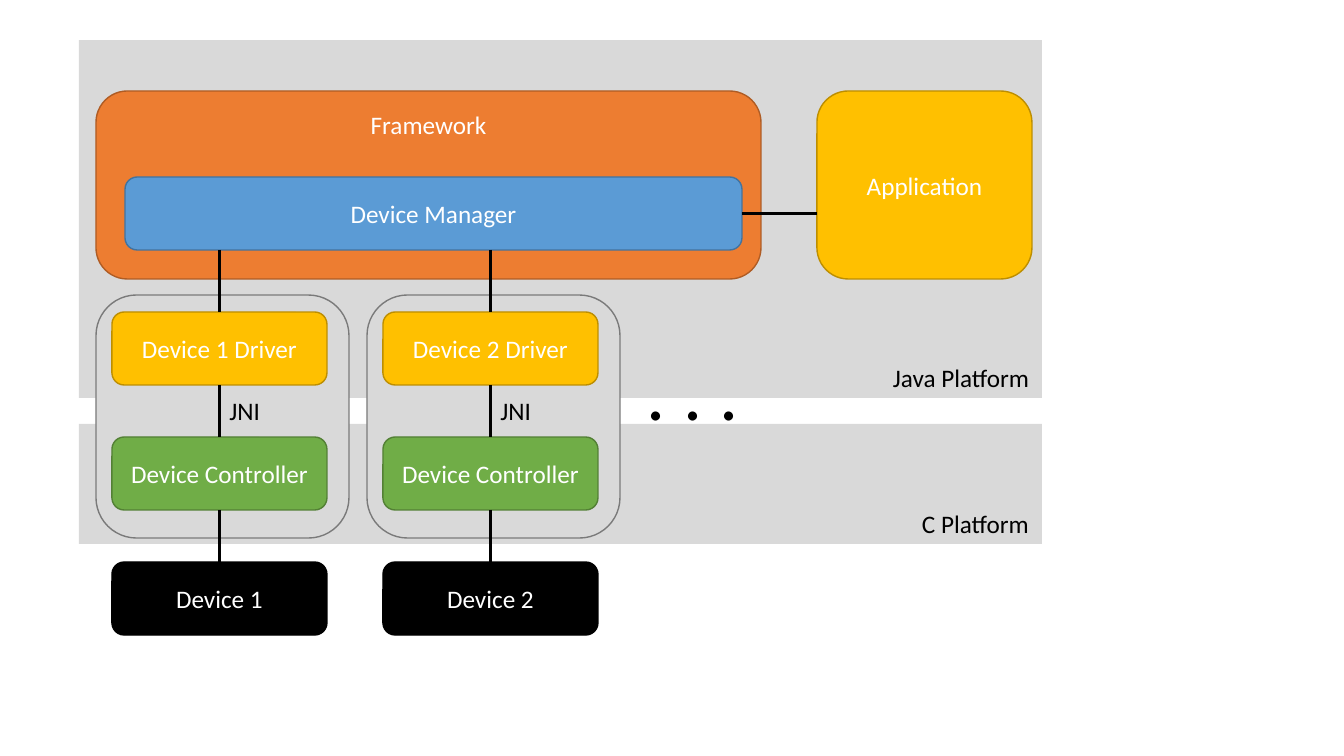
from pptx import Presentation
from pptx.dml.color import RGBColor
from pptx.enum.shapes import MSO_CONNECTOR, MSO_SHAPE
from pptx.enum.text import MSO_ANCHOR, MSO_AUTO_SIZE, PP_ALIGN
from pptx.oxml.ns import qn
from pptx.util import Pt
from lxml import etree

RECTANGLE = MSO_SHAPE.RECTANGLE
ROUNDED = MSO_SHAPE.ROUNDED_RECTANGLE
STRAIGHT = MSO_CONNECTOR.STRAIGHT
TOP = MSO_ANCHOR.TOP
MIDDLE = MSO_ANCHOR.MIDDLE
CENTER = PP_ALIGN.CENTER
FIT_SHAPE = MSO_AUTO_SIZE.SHAPE_TO_FIT_TEXT

EMU_PER_PIXEL = 914400 / 100.8
FONT = "Calibri"
WHITE = "FFFFFF"
BLACK = "000000"
GRAY = ("D9D9D9", "7A7A7A")
YELLOW = ("FFC000", "BD8E00")
GREEN = ("70AD47", "538035")
ORANGE = ("ED7D31", "AF5C24")
BLUE = ("5B9BD5", "43739E")
SOLID_BLACK = (BLACK, BLACK)

BOX_WIDTH = 215
BOX_HEIGHT = 73
GROUP_LEFT = 96
GROUP_PADDING = 16
COLUMN_PITCH = 271
ROW_TOP = 312
ROW_PITCH = 125
MANAGER_TOP = 177
MANAGER_BOTTOM = MANAGER_TOP + BOX_HEIGHT


def px(value):
    return round(value * EMU_PER_PIXEL)


def color(value):
    return RGBColor.from_string(value)


def write(frame, text, size, text_color):
    paragraph = frame.paragraphs[0]
    paragraph.text = text
    paragraph.font.name = FONT
    paragraph.font.size = Pt(size)
    paragraph.font.color.rgb = color(text_color)
    return paragraph


def add_block(slide, kind, left, top, width, height, fill, outline=None):
    shape = slide.shapes.add_shape(kind, px(left), px(top), px(width), px(height))
    shape.shadow.inherit = False
    shape.fill.solid()
    shape.fill.fore_color.rgb = color(fill)
    if outline:
        shape.line.color.rgb = color(outline)
        shape.line.width = Pt(1)
    else:
        shape.line.fill.background()
    return shape


def add_box(slide, text, left, top, width, height, colors, anchor=MIDDLE):
    shape = add_block(slide, ROUNDED, left, top, width, height, *colors)
    frame = shape.text_frame
    frame.word_wrap = True
    frame.vertical_anchor = anchor
    write(frame, text, 18, WHITE).alignment = CENTER
    return shape


def add_label(slide, text, left, top, width, height, size=18):
    label = slide.shapes.add_textbox(px(left), px(top), px(width), px(height))
    frame = label.text_frame
    frame.word_wrap = False
    frame.auto_size = FIT_SHAPE
    write(frame, text, size, BLACK)


def add_link(slide, x1, y1, x2, y2):
    link = slide.shapes.add_connector(STRAIGHT, px(x1), px(y1), px(x2), px(y2))
    link.line.color.rgb = color(BLACK)
    link.line.width = Pt(2.25)
    etree.SubElement(link._element.spPr, qn("a:effectLst"))


def add_device_column(slide, number):
    group_left = GROUP_LEFT + (number - 1) * COLUMN_PITCH
    box_left = group_left + GROUP_PADDING
    center = box_left + BOX_WIDTH / 2
    add_block(slide, ROUNDED, group_left, 295, 253, 243, *GRAY)

    layers = [
        (f"Device {number} Driver", YELLOW),
        ("Device Controller", GREEN),
        (f"Device {number}", SOLID_BLACK),
    ]
    previous_bottom = MANAGER_BOTTOM
    for row, (text, colors) in enumerate(layers):
        top = ROW_TOP + row * ROW_PITCH
        add_box(slide, text, box_left, top, BOX_WIDTH, BOX_HEIGHT, colors)
        add_link(slide, center, previous_bottom, center, top)
        previous_bottom = top + BOX_HEIGHT
    add_label(slide, "JNI", center, 390, 51, 40)


def main():
    presentation = Presentation()
    presentation.slide_width = px(1344)
    presentation.slide_height = px(756)
    slide = presentation.slides.add_slide(presentation.slide_layouts[6])

    for top, height in ((424, 120), (40, 358)):
        add_block(slide, RECTANGLE, 79, top, 963, height, GRAY[0])

    framework = add_box(slide, "Framework", GROUP_LEFT, 91, 665, 188, ORANGE, TOP)
    framework.text_frame.margin_top = px(9)
    add_box(slide, "Device Manager", 125, MANAGER_TOP, 617, BOX_HEIGHT, BLUE)
    add_box(slide, "Application", 817, 91, BOX_WIDTH, 188, YELLOW)
    manager_middle = MANAGER_TOP + BOX_HEIGHT / 2
    add_link(slide, 742, manager_middle, 817, manager_middle)

    for number in (1, 2):
        add_device_column(slide, number)

    add_label(slide, ". . .", 637, 340, 113, 102, 54)
    add_label(slide, "Java Platform", 883, 357, 158, 40)
    add_label(slide, "C Platform", 912, 503, 129, 40)

    presentation.save("out.pptx")


main()
